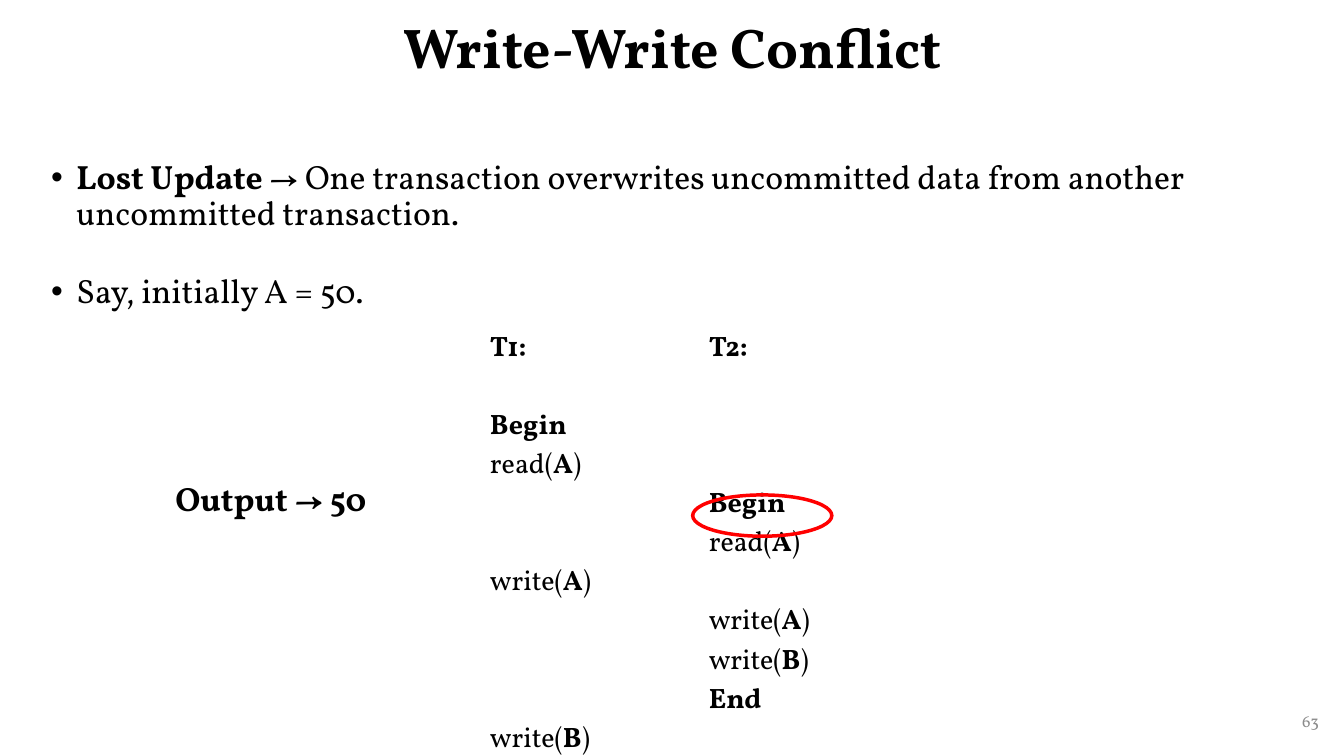
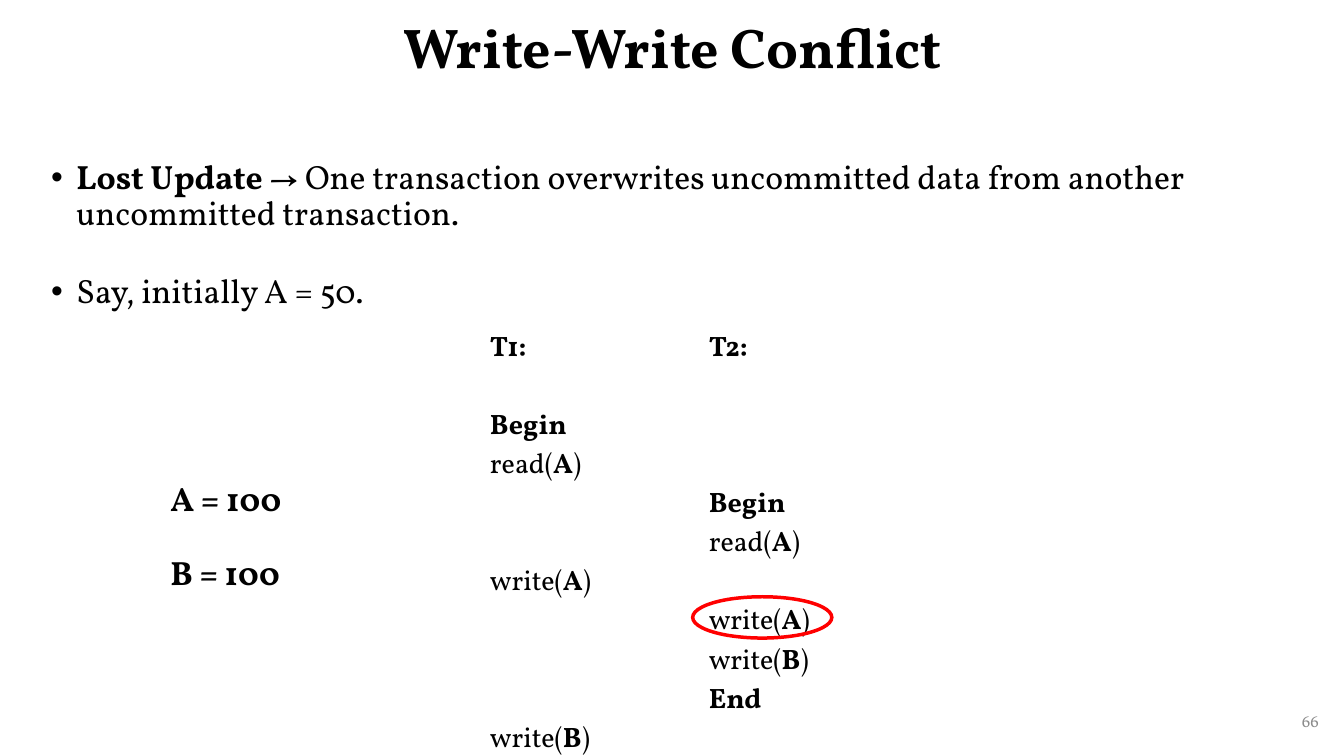
from lxml import etree
from pptx import Presentation
from pptx.dml.color import RGBColor
from pptx.enum.shapes import MSO_SHAPE
from pptx.enum.text import MSO_ANCHOR, PP_ALIGN
from pptx.oxml.ns import qn
from pptx.util import Inches, Pt

FONT = "Vollkorn"
BLACK = RGBColor(0x00, 0x00, 0x00)
GRAY = RGBColor(0x8C, 0x8C, 0x8C)
RED = RGBColor(0xFF, 0x00, 0x00)

TITLE = "Write-Write Conflict"
LINE_HEIGHT = 27.9  # points taken by one step of the schedule

# Text between asterisks is bold
BULLETS = [
    "*Lost Update *→ One transaction overwrites uncommitted data "
    "from another uncommitted transaction.",
    "Say, initially A = 50.",
]

# Each transaction lists its operations by time step
SCHEDULE = [
    {0: "*T1:*", 2: "*Begin*", 3: "read(*A*)", 6: "write(*A*)", 10: "write(*B*)"},
    {0: "*T2:*", 4: "*Begin*", 5: "read(*A*)", 7: "write(*A*)", 8: "write(*B*)",
     9: "*End*"},
]


def write_text(paragraph, text, size=24, color=BLACK, align=PP_ALIGN.LEFT,
               before=0, spacing=1.0):
    """Fill a paragraph, with the parts between asterisks in bold."""
    paragraph.alignment = align
    paragraph.line_spacing = spacing
    paragraph.space_before = Pt(before)
    for index, part in enumerate(text.split("*")):
        if part:
            run = paragraph.add_run()
            run.text = part
            run.font.name = FONT
            run.font.size = Pt(size)
            run.font.bold = index % 2 == 1
            run.font.color.rgb = color


def next_paragraph(frame, index):
    return frame.paragraphs[0] if index == 0 else frame.add_paragraph()


def add_text_frame(slide, left, top, width, height, anchor=MSO_ANCHOR.TOP):
    box = slide.shapes.add_textbox(Inches(left), Inches(top),
                                   Inches(width), Inches(height))
    frame = box.text_frame
    frame.word_wrap = True
    frame.vertical_anchor = anchor
    return frame


def add_bullet(paragraph):
    properties = paragraph._p.get_or_add_pPr()
    properties.set("marL", str(Inches(0.25)))
    properties.set("indent", str(-Inches(0.25)))
    etree.SubElement(properties, qn("a:buFont"), typeface="Arial")
    etree.SubElement(properties, qn("a:buChar"), char="•")


def add_title_and_number(slide, number):
    title = add_text_frame(slide, 0.92, 0, 11.5, 0.99, MSO_ANCHOR.MIDDLE)
    write_text(title.paragraphs[0], f"*{TITLE}*", size=40,
               align=PP_ALIGN.CENTER, spacing=0.9)
    footer = add_text_frame(slide, 10.18, 6.95, 3, 0.4, MSO_ANCHOR.MIDDLE)
    write_text(footer.paragraphs[0], str(number), size=12, color=GRAY,
               align=PP_ALIGN.RIGHT)


def add_bullets(slide, left, top, width, height):
    frame = add_text_frame(slide, left, top, width, height)
    for index, text in enumerate(BULLETS):
        paragraph = next_paragraph(frame, index)
        add_bullet(paragraph)
        write_text(paragraph, text, before=31 if index else 0, spacing=0.88)


def add_schedule(slide, left, top, widths, height):
    frame = slide.shapes.add_table(1, len(widths), Inches(left), Inches(top),
                                   Inches(sum(widths)), Inches(height))
    table = frame.table
    table.first_row = table.horz_banding = False
    # Plain style without grid lines
    style = table._tbl.tblPr.find(qn("a:tableStyleId"))
    style.text = "{2D5ABB26-0587-4C30-8999-92F81FD0307C}"
    for column, (width, operations) in enumerate(zip(widths, SCHEDULE)):
        table.columns[column].width = Inches(width)
        cell = table.cell(0, column)
        cell.fill.background()
        previous = -1
        for index, (step, text) in enumerate(operations.items()):
            write_text(next_paragraph(cell.text_frame, index), text, size=20,
                       before=(step - previous - 1) * LINE_HEIGHT)
            previous = step


def add_highlight(slide, left, top, width, height):
    ellipse = slide.shapes.add_shape(MSO_SHAPE.OVAL, Inches(left), Inches(top),
                                     Inches(width), Inches(height))
    ellipse.shadow.inherit = False
    ellipse.fill.background()
    ellipse.line.color.rgb = RED
    ellipse.line.width = Pt(2.5)


def add_values(slide, left, top, width, height, values):
    frame = add_text_frame(slide, left, top, width, height)
    for index, value in enumerate(values):
        write_text(next_paragraph(frame, index), f"*{value}*",
                   before=24 if index else 0)


def add_conflict_slide(presentation, number, highlight_top, values, values_box):
    slide = presentation.slides.add_slide(presentation.slide_layouts[6])
    add_title_and_number(slide, number)
    add_bullets(slide, 0.41, 1.55, 12.92, 1.8)
    add_schedule(slide, 4.76, 3.22, [2.17, 2.05], 4.2)
    add_highlight(slide, 6.87, highlight_top, 1.38, 0.41)
    add_values(slide, *values_box, values)


def main():
    presentation = Presentation()
    presentation.slide_width = Inches(13.33)
    presentation.slide_height = Inches(7.5)
    add_conflict_slide(presentation, 63, 4.91, ["Output → 50"],
                       (1.64, 4.69, 2.63, 0.5))
    add_conflict_slide(presentation, 66, 5.92, ["A = 100", "B = 100"],
                       (1.59, 4.69, 2.69, 1.31))
    presentation.save("out.pptx")


if __name__ == "__main__":
    main()
